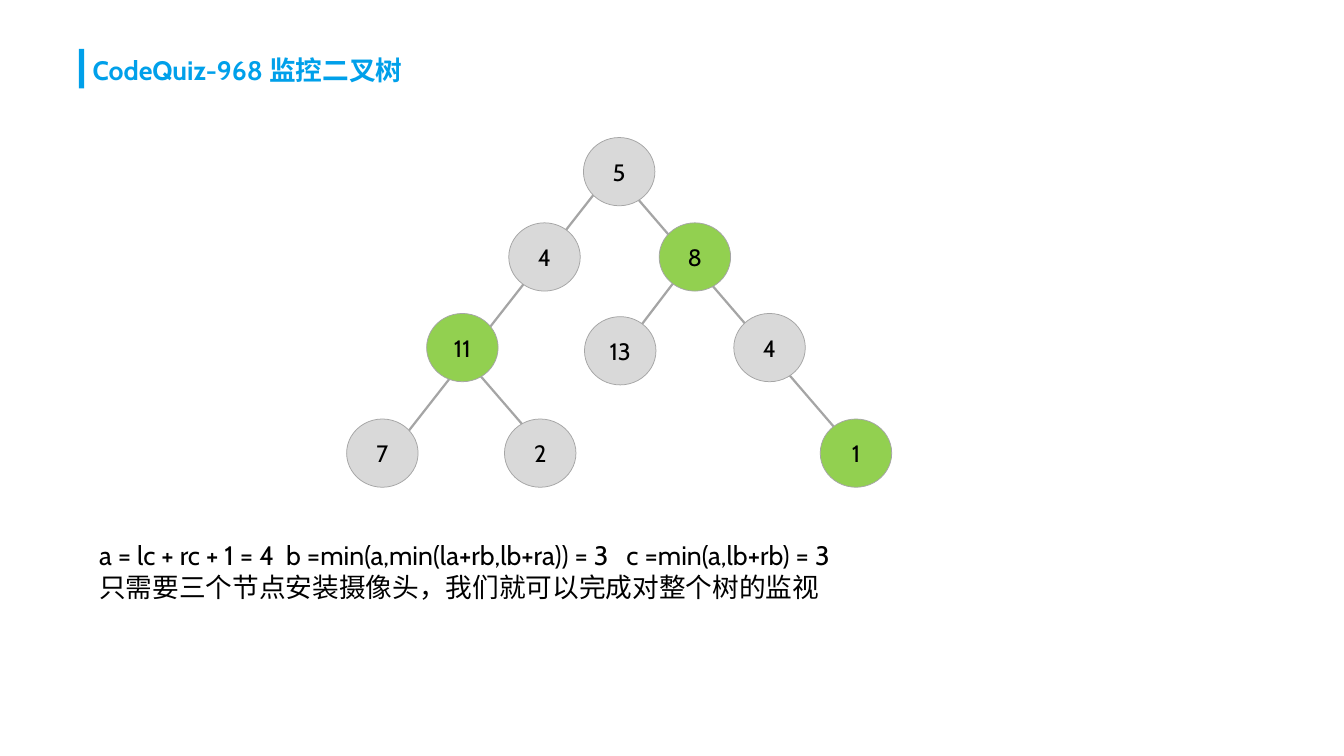
"""Build the binary tree camera slide."""
from lxml.etree import SubElement
from pptx import Presentation
from pptx.dml.color import RGBColor as RGB
from pptx.enum.shapes import MSO_CONNECTOR as LINK, MSO_SHAPE as SHAPE
from pptx.enum.text import MSO_ANCHOR as ANCHOR, PP_ALIGN as ALIGN
from pptx.oxml.ns import qn
from pptx.util import Inches, Pt

COLORS = {"blue": "00A0EA", "line": "A5A5A5", "green": "92D050",
          "gray": "D9D9D9", "black": "000000"}
COLORS = {name: RGB.from_string(code) for name, code in COLORS.items()}

deck = Presentation()
deck.slide_width, deck.slide_height = Inches(12.6), Inches(7.09)
slide = deck.slides.add_slide(deck.slide_layouts[6])
shapes = slide.shapes


def write(shape, text, size, color, bold=False):
    frame = shape.text_frame
    frame.word_wrap = True
    frame.text = text
    for para in frame.paragraphs:
        for run in para.runs:
            font = run.font
            font.name, font.size, font.bold = "Cabin", Pt(size), bold
            font.color.rgb = COLORS[color]
    return frame


def add_solid(kind, box, color):
    shape = shapes.add_shape(kind, *map(Inches, box))
    shape.shadow.inherit = False
    shape.fill.solid()
    shape.fill.fore_color.rgb = COLORS[color]
    return shape


bar = add_solid(SHAPE.RECTANGLE, (0.74, 0.46, 0.05, 0.37), "blue")
bar.line.fill.background()

branches = [
    (5.13, 4.25, 4.37, 3.37),
    (5.79, 3.34, 6.43, 2.5),
    (8.03, 4.25, 5.82, 1.68),
    (3.59, 4.35, 5.75, 1.59),
]
for ends in branches:
    branch = shapes.add_connector(LINK.STRAIGHT, *map(Inches, ends))
    branch.line.color.rgb = COLORS["line"]
    branch.line.width = Pt(1.5)
    SubElement(branch._element.spPr, qn("a:effectLst"))

nodes = [
    ("8", 6.18, 2.09, "green"),
    ("13", 5.48, 2.97, "gray"),
    ("4", 6.88, 2.94, "gray"),
    ("5", 5.47, 1.29, "gray"),
    ("4", 4.77, 2.09, "gray"),
    ("11", 4, 2.94, "green"),
    ("7", 3.25, 3.93, "gray"),
    ("2", 4.73, 3.93, "gray"),
    ("1", 7.69, 3.93, "green"),
]
for value, left, top, color in nodes:
    node = add_solid(SHAPE.OVAL, (left, top, 0.67, 0.64), color)
    node.line.color.rgb = COLORS["line"]
    node.line.width = Pt(0.5)
    frame = write(node, value, 16, "black")
    frame.vertical_anchor = ANCHOR.MIDDLE
    frame.paragraphs[0].alignment = ALIGN.CENTER

title = shapes.add_textbox(*map(Inches, (0.77, 0.46, 6.29, 0.4)))
write(title, "CodeQuiz-968 监控二叉树", 18, "blue", True)

notes = [
    "a = lc + rc + 1 = 4  b =min(a,min(la+rb,lb+ra)) = 3   c =min(a,lb+rb) = 3",
    "只需要三个节点安装摄像头，我们就可以完成对整个树的监视",
]
result = shapes.add_textbox(*map(Inches, (0.83, 5, 8.31, 0.71)))
write(result, "\n".join(notes), 18, "black")

deck.save("out.pptx")
